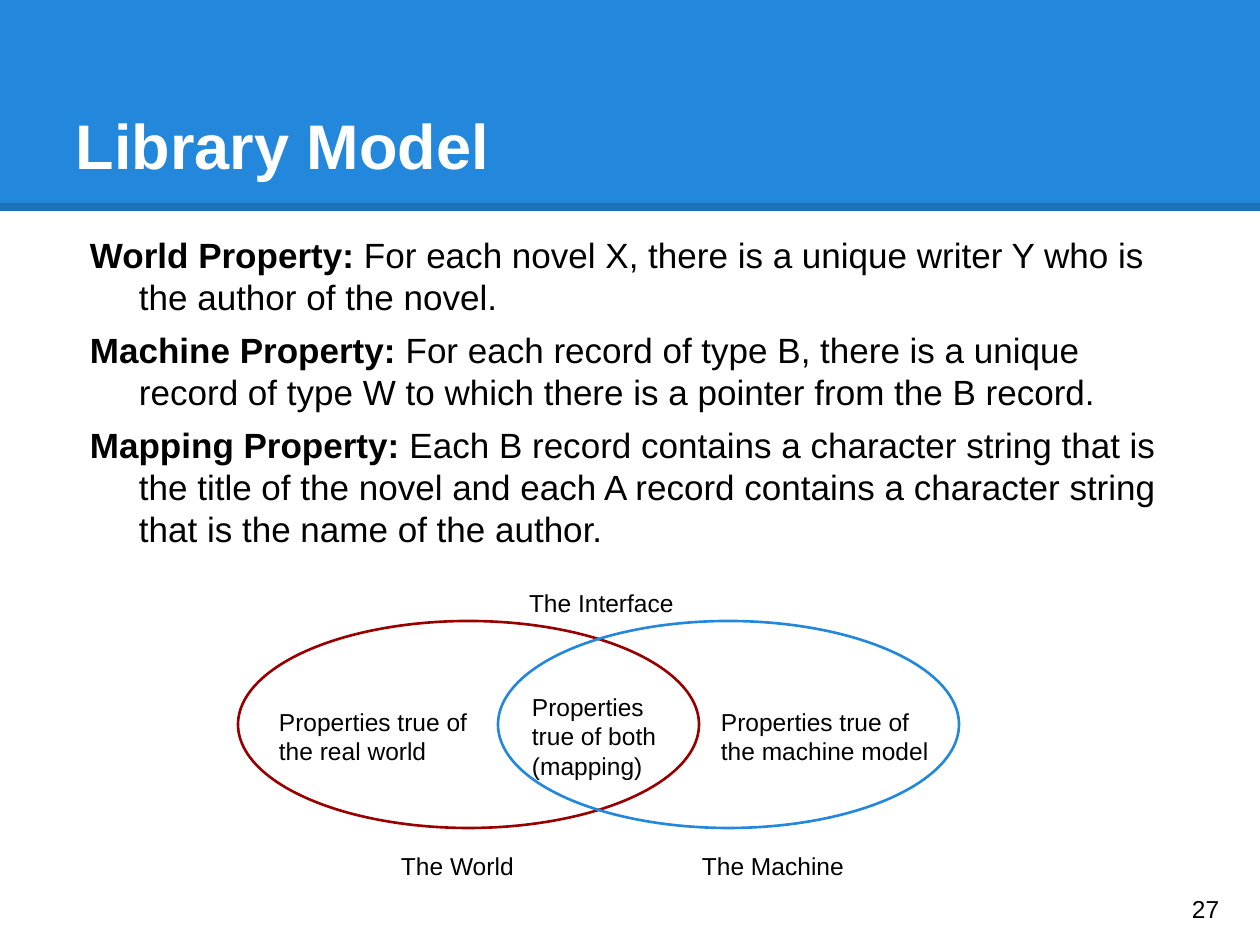
from dataclasses import dataclass

from lxml import etree
from pptx import Presentation
from pptx.dml.color import RGBColor
from pptx.enum import shapes, text
from pptx.oxml.ns import qn
from pptx.util import Emu, Pt

EMU_PER_PX = 914400 // 126
SLIDE_WIDTH, SLIDE_HEIGHT = 1260, 945
BLUE, RED, BLACK, WHITE = "2388DB", "980000", "000000", "FFFFFF"
BAND_HEIGHT = 211
INSET = 13


@dataclass(frozen=True)
class Box:
    left: int
    top: int
    width: int
    height: int


@dataclass(frozen=True)
class Label:
    wording: str
    box: Box
    anchor: text.MSO_ANCHOR = text.MSO_ANCHOR.TOP


@dataclass(frozen=True)
class Region:
    left: int
    color: str


@dataclass(frozen=True)
class Property:
    name: str
    statement: str


PROPERTIES = [
    Property("World Property:", " For each novel X, there is a unique writer Y who is the author of the novel."),
    Property(
        "Machine Property:",
        " For each record of type B, there is a unique record of type W to which there is "
        "a pointer from the B record.",
    ),
    Property(
        "Mapping Property:",
        " Each B record contains a character string that is the title of the novel and "
        "each A record contains a character string that is the name of the author.",
    ),
]
REGIONS = [Region(238, RED), Region(498, BLUE)]
LABELS = [
    Label("The World", Box(388, 838, 161, 55)),
    Label("The Machine", Box(689, 838, 179, 55)),
    Label("The Interface", Box(516, 575, 183, 55)),
    Label("Properties true of the real world", Box(266, 694, 215, 90)),
    Label("Properties true of the machine model", Box(708, 694, 251, 90)),
    Label("Properties true of both (mapping)", Box(519, 679, 179, 90)),
    Label("27", Box(1179, 873, 76, 72), text.MSO_ANCHOR.MIDDLE),
]


def px(value: int) -> Emu:
    return Emu(value * EMU_PER_PX)


def rgb(value: str) -> RGBColor:
    return RGBColor.from_string(value)


def extent(box: Box) -> tuple[Emu, ...]:
    return px(box.left), px(box.top), px(box.width), px(box.height)


def set_attributes(target, values: dict) -> None:
    for name, value in values.items():
        setattr(target, name, value)


def format_frame(frame, anchor=text.MSO_ANCHOR.TOP) -> None:
    margins = {f"margin_{side}": px(INSET) for side in ("left", "top", "right", "bottom")}
    set_attributes(
        frame,
        {"word_wrap": True, "auto_size": text.MSO_AUTO_SIZE.NONE, "vertical_anchor": anchor, **margins},
    )


def add_run(paragraph, wording: str, size: int, color: str = BLACK, bold: bool = False) -> None:
    run = paragraph.add_run()
    run.text = wording
    set_attributes(run.font, {"name": "Arial", "size": Pt(size), "bold": bold})
    run.font.color.rgb = rgb(color)


def add_band(slide) -> None:
    band = slide.shapes.add_shape(
        shapes.MSO_SHAPE.RECTANGLE, *extent(Box(0, 0, SLIDE_WIDTH, BAND_HEIGHT))
    )
    band.shadow.inherit = False
    band.fill.solid()
    band.fill.fore_color.rgb = rgb(BLUE)
    band.line.fill.background()
    edge_top = px(BAND_HEIGHT - 4)
    edge = slide.shapes.add_connector(
        shapes.MSO_CONNECTOR.STRAIGHT, 0, edge_top, px(SLIDE_WIDTH), edge_top
    )
    edge.line.width = Pt(4.5)
    edge.line.color.rgb = rgb(BLACK)
    properties = edge._element.spPr
    color = properties.find(".//" + qn("a:srgbClr"))
    etree.SubElement(color, qn("a:alpha"), val="15000")
    etree.SubElement(properties, qn("a:effectLst"))


def place_title(slide, wording: str) -> None:
    title = slide.shapes.title
    slide.shapes._spTree.append(title._element)
    left, top, width, height = extent(Box(63, 38, 1134, 157))
    set_attributes(title, {"left": left, "top": top, "width": width, "height": height})
    format_frame(title.text_frame, text.MSO_ANCHOR.BOTTOM)
    paragraph = title.text_frame.paragraphs[0]
    paragraph.alignment = text.PP_ALIGN.LEFT
    add_run(paragraph, wording, 36, WHITE, True)


def add_properties(slide, properties: list[Property]) -> None:
    frame = slide.shapes.add_textbox(*extent(Box(63, 221, 1134, 684))).text_frame
    format_frame(frame)
    for index, entry in enumerate(properties):
        paragraph = frame.add_paragraph() if index else frame.paragraphs[0]
        indents = paragraph._p.get_or_add_pPr()
        indents.set("marL", str(px(63)))
        indents.set("indent", str(px(-49)))
        paragraph.space_before = Pt(6 if index else 0)
        add_run(paragraph, entry.name, 20, bold=True)
        add_run(paragraph, entry.statement, 20)


def add_region(slide, region: Region) -> None:
    ellipse = slide.shapes.add_shape(
        shapes.MSO_SHAPE.OVAL, *extent(Box(region.left, 621, 461, 207))
    )
    ellipse.shadow.inherit = False
    ellipse.fill.background()
    ellipse.line.color.rgb = rgb(region.color)
    ellipse.line.width = Pt(1.5)


def add_label(slide, label: Label) -> None:
    frame = slide.shapes.add_textbox(*extent(label.box)).text_frame
    format_frame(frame, label.anchor)
    add_run(frame.paragraphs[0], label.wording, 14)


def main() -> None:
    presentation = Presentation()
    presentation.slide_width = px(SLIDE_WIDTH)
    presentation.slide_height = px(SLIDE_HEIGHT)
    slide = presentation.slides.add_slide(presentation.slide_layouts[5])
    add_band(slide)
    place_title(slide, "Library Model")
    add_properties(slide, PROPERTIES)
    for region in REGIONS:
        add_region(slide, region)
    for label in LABELS:
        add_label(slide, label)
    presentation.save("out.pptx")


if __name__ == "__main__":
    main()
